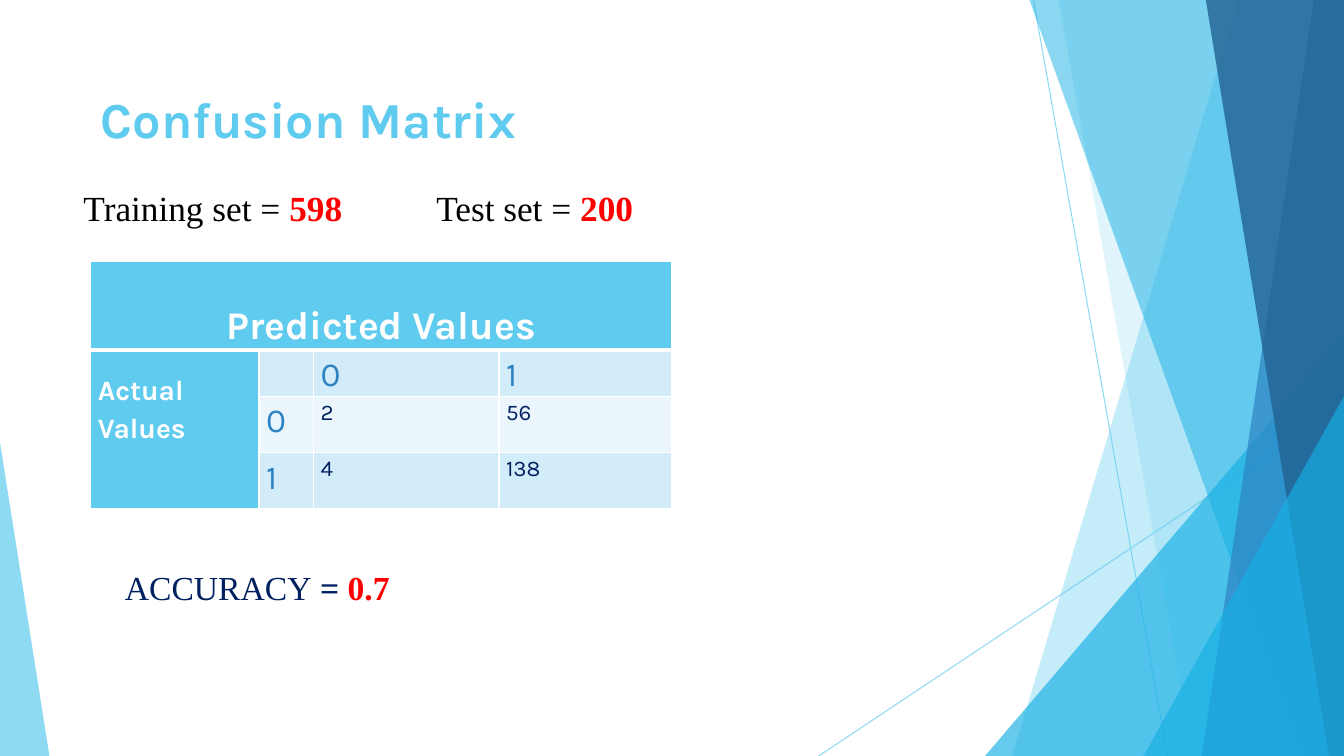
from lxml import etree
from pptx import Presentation
from pptx.dml.color import RGBColor
from pptx.enum.shapes import MSO_CONNECTOR, MSO_SHAPE
from pptx.enum.text import MSO_ANCHOR, MSO_AUTO_SIZE, PP_ALIGN
from pptx.oxml.ns import qn
from pptx.util import Inches, Pt

LINE, TRIANGLE = MSO_CONNECTOR.STRAIGHT, MSO_SHAPE.ISOSCELES_TRIANGLE
LEFT, CENTER = PP_ALIGN.LEFT, PP_ALIGN.CENTER
TOP, BOTTOM = MSO_ANCHOR.TOP, MSO_ANCHOR.BOTTOM
SKY = RGBColor(0x5F, 0xCB, 0xEF)
CYAN = RGBColor(0x17, 0xB0, 0xE4)
BLUE = RGBColor(0x2E, 0x83, 0xC3)
DEEP = RGBColor(0x22, 0x62, 0x92)
NAVY = RGBColor(0x00, 0x20, 0x60)
BAND = RGBColor(0xD2, 0xEC, 0xF9)
PALE = RGBColor(0xEA, 0xF6, 0xFC)
WHITE = RGBColor(0xFF, 0xFF, 0xFF)
BLACK = RGBColor(0, 0, 0)
RED = RGBColor(0xFF, 0, 0)
SERIF, SANS = "Times New Roman", "Karla"
W, H = 13.33, 7.5


def set_alpha(fill, percent):
    """Make a solid fill partly opaque."""
    color = fill._xPr.find(qn("a:solidFill"))[0]
    etree.SubElement(color, qn("a:alpha"), val=str(percent * 1000))


def add_runs(p, font, size, runs):
    """Append (text, colour, bold) runs in one font and size."""
    for text, color, bold in runs:
        r = p.add_run()
        r.text = text
        for name, value in {"name": font, "size": Pt(size), "bold": bold}.items():
            setattr(r.font, name, value)
        r.font.color.rgb = color


prs = Presentation()
prs.slide_width, prs.slide_height = Inches(W), Inches(H)
s = prs.slides.add_slide(prs.slide_layouts[5])

# Background facets, back to front
for x1, y1, x2, y2 in [(10.25, 0, 11.58, H), (W, 4.03, 8.12, H)]:
    line = s.shapes.add_connector(LINE, Inches(x1), Inches(y1), Inches(x2), Inches(y2))
    line.line.width = Pt(0.75)
    line.line.color.rgb = SKY
    set_alpha(line.line.fill, 70)
    etree.SubElement(line._element.spPr, qn("a:effectLst"))

# Bands: (top left x, bottom left x); triangles: (left, top, width, apex position)
facets = [
    ((12.28, 10.04), SKY, 36),
    ((10.5, 11.83), SKY, 20),
    ((9.77, 3.33, 3.56, 1), CYAN, 66),
    ((10.21, 12.91), CYAN, 50),
    ((13.03, 11.92), BLUE, 70),
    ((11.96, 13.18), DEEP, 80),
    ((11.34, 3.93, 1.99, 1), CYAN, 66),
    ((0, 4.39, 0.49, 0), SKY, 70),
]
for geometry, color, opacity in facets:
    if len(geometry) == 2:
        top_x, bottom_x = geometry
        fb = s.shapes.build_freeform(Inches(top_x), 0)
        fb.add_line_segments([(Inches(x), Inches(y)) for x, y in
                              [(W, 0), (W, H), (bottom_x, H)]])
        sp = fb.convert_to_shape()
    else:
        x, y, width, apex = geometry
        sp = s.shapes.add_shape(TRIANGLE, Inches(x), Inches(y), Inches(width), Inches(H - y))
        sp.adjustments[0] = apex
    sp.shadow.inherit = False
    sp.line.fill.background()
    sp.fill.solid()
    sp.fill.fore_color.rgb = color
    set_alpha(sp.fill, opacity)

# Title
title = s.shapes.title
title.left, title.top, title.width, title.height = map(Inches, (0.9, 0.82, 6.27, 0.71))
tf = title.text_frame
tf.auto_size = MSO_AUTO_SIZE.NONE
tf.vertical_anchor = TOP
tf.paragraphs[0].alignment = LEFT
add_runs(tf.paragraphs[0], SANS, 36, [("Confusion Matrix", SKY, True)])

# Text lines
notes = [
    (0.73, 1.8, 8.4, 25.2, [("Training set =", BLACK, False), (" 598", RED, True),
                            ("\tTest set =", BLACK, False), (" 200", RED, True)]),
    (1.14, 5.58, 3.29, 24, [("ACCURACY", NAVY, False), (" = ", NAVY, True),
                            ("0.7", RED, True)]),
]
for x, y, width, size, runs in notes:
    tf = s.shapes.add_textbox(Inches(x), Inches(y), Inches(width), Inches(0.5)).text_frame
    tf.word_wrap = True
    p = tf.paragraphs[0]
    tabs = etree.SubElement(p._p.get_or_add_pPr(), qn("a:tabLst"))
    etree.SubElement(tabs, qn("a:tab"), pos=str(Inches(3.5)), algn="l")
    add_runs(p, SERIF, size, runs)

# Confusion matrix
cols, rows = [1.67, 0.54, 1.84, 1.71], [0.88, 0.44, 0.56, 0.56]
values = [
    ["Predicted Values", "", "", ""],
    ["Actual Values", "", "0", "1"],
    ["", "0", "2", "56"],
    ["", "1", "4", "138"],
]
table = s.shapes.add_table(4, 4, Inches(0.9), Inches(2.59),
                           Inches(sum(cols)), Inches(sum(rows))).table
for column, width in zip(table.columns, cols):
    column.width = Inches(width)
for row, height in zip(table.rows, rows):
    row.height = Inches(height)
table.cell(0, 0).merge(table.cell(0, 3))
table.cell(1, 0).merge(table.cell(3, 0))

for i, row in enumerate(values):
    for j, text in enumerate(row):
        cell = table.cell(i, j)
        cell.margin_left = cell.margin_right = Inches(0.07)
        cell.margin_top = cell.margin_bottom = 0
        for side in "LRTB":
            thick = (i, side) in [(0, "B"), (1, "T")]
            ln = etree.SubElement(cell._tc.get_or_add_tcPr(), qn("a:ln" + side),
                                  w=str(Pt(3 if thick else 1)))
            fill = etree.SubElement(ln, qn("a:solidFill"))
            etree.SubElement(fill, qn("a:srgbClr"), val=str(WHITE))
        if i == 0 or j == 0:
            fill_color, color, size, bold = SKY, WHITE, 20 if i else 28, True
        else:
            fill_color = PALE if i == 2 else BAND
            is_label = i == 1 or j == 1
            color, size, bold = BLUE if is_label else NAVY, 24 if is_label else 16, False
        cell.fill.solid()
        cell.fill.fore_color.rgb = fill_color
        if text:
            p = cell.text_frame.paragraphs[0]
            p.line_spacing = 1.15
            add_runs(p, SANS, size, [(text, color, bold)])

header = table.cell(0, 0)
header.vertical_anchor = BOTTOM
header.text_frame.paragraphs[0].alignment = CENTER
table.cell(1, 0).margin_top = Inches(0.2)

prs.save("out.pptx")
